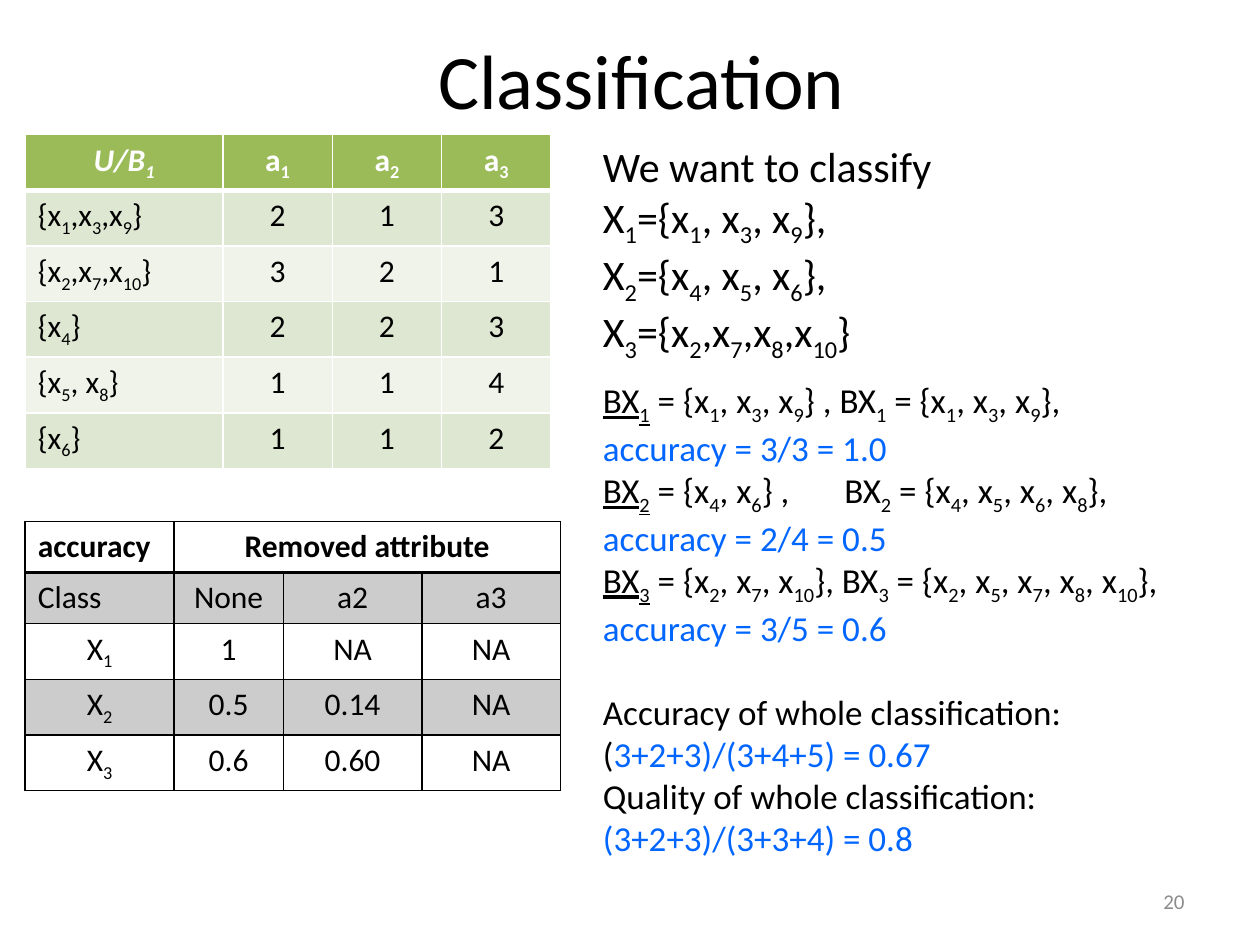
"""Build the "Classification" slide: two tables beside set approximations and their accuracy."""
from dataclasses import dataclass
from itertools import takewhile

from lxml import etree
from pptx import Presentation
from pptx.dml import color
from pptx.enum import text
from pptx.oxml import ns
from pptx.util import Pt


@dataclass(frozen=True)
class Theme:
    font: str = "Calibri"
    title: int = 44
    intro: int = 24
    body: int = 20
    table: int = 18
    number: int = 12
    black: str = "000000"
    white: str = "FFFFFF"
    blue: str = "0066FF"
    gray: str = "8C8C8C"
    green: str = "9BBB59"
    green_bands: tuple = ("DEE7D1", "EFF3EA")


THEME = Theme()
STYLES = {
    "plain": {"color": THEME.black},
    "accent": {"color": THEME.blue},
    "lower": {"color": THEME.black, "underline": True},
    "muted": {"color": THEME.gray},
    "bold": {"color": THEME.black, "bold": True},
    "header": {"color": THEME.white, "bold": True},
    "corner": {"color": THEME.white, "bold": True, "italic": True},
}

TITLE = "Classification"
SLIDE_NUMBER = "20"
INTRO = [
    [("We want to classify", "plain")],
    [("X_1={x_1, x_3, x_9}, \nX_2={x_4, x_5, x_6}, \nX_3={x_2,x_7,x_8,x_10}", "plain")],
]
APPROXIMATIONS = [
    ("BX_1", " = {x_1, x_3, x_9} , BX_1 = {x_1, x_3, x_9},", "3/3 = 1.0"),
    ("BX_2", " = {x_4, x_6} ,\tBX_2 = {x_4, x_5, x_6, x_8},", "2/4 = 0.5"),
    ("BX_3", " = {x_2, x_7, x_10}, BX_3 = {x_2, x_5, x_7, x_8, x_10},", "3/5 = 0.6"),
]
SUMMARY = [
    [("Accuracy of whole classification:", "plain")],
    [("(", "plain"), ("3+2+3)/(3+4+5) = 0.67", "accent")],
    [("Quality of whole classification:", "plain")],
    [("(3+2+3)/(3+3+4) = 0.8", "accent")],
]
CLASSES_TABLE = {
    "left": 14.4, "top": 77, "columns": [113, 62.5, 62.5, 62.5],
    "header_styles": ["corner", "header", "header", "header"],
    "left_rows": range(1, 6), "border": THEME.white, "header_line": 3,
    "header_fill": (THEME.green, None),
    "bands": [(band, None) for band in THEME.green_bands],
    "rows": [
        ["U/B_1", "a_1", "a_2", "a_3"],
        ["{x_1,x_3,x_9}", "2", "1", "3"],
        ["{x_2,x_7,x_10}", "3", "2", "1"],
        ["{x_4}", "2", "2", "3"],
        ["{x_5, x_8}", "1", "1", "4"],
        ["{x_6}", "1", "1", "2"],
    ],
}
ACCURACY_TABLE = {
    "left": 14.4, "top": 298, "columns": [85, 62.5, 79.2, 79.2],
    "header_styles": ["bold"] * 4,
    "left_rows": range(2), "border": THEME.black, "header_line": 2,
    "header_fill": None,
    "bands": [(THEME.black, 20), None],
    "header_span": (1, 3),
    "rows": [
        ["accuracy", "Removed attribute", "", ""],
        ["Class", "None", "a2", "a3"],
        ["X_1", "1", "NA", "NA"],
        ["X_2", "0.5", "0.14", "NA"],
        ["X_3", "0.6", "0.60", "NA"],
    ],
}
ROW_HEIGHT = 29.2
TAB_STOP = 138
SECTION_GAP = 24


def split_subscripts(line):
    first, *others = line.split("_")
    yield first, False
    for part in others:
        digits = "".join(takewhile(str.isdigit, part))
        yield digits, True
        yield part[len(digits):], False


def add_runs(paragraph, markup, style, size):
    look = STYLES[style]
    for index, line in enumerate(markup.split("\n")):
        if index:
            paragraph.add_line_break()
        for content, is_subscript in split_subscripts(line):
            if not content:
                continue
            run = paragraph.add_run()
            run.text = content
            font = run.font
            font.name, font.size = THEME.font, Pt(size)
            font.color.rgb = color.RGBColor.from_string(look["color"])
            font.bold = look.get("bold", False)
            font.italic = look.get("italic", False)
            font.underline = look.get("underline", False)
            if is_subscript:
                run._r.get_or_add_rPr().set("baseline", "-25000")


def add_tab_stop(paragraph):
    tabs = etree.SubElement(paragraph._p.get_or_add_pPr(), ns.qn("a:tabLst"))
    etree.SubElement(tabs, ns.qn("a:tab"), pos=str(Pt(TAB_STOP)), algn="l")


def add_text(slide, box, paragraphs, size):
    frame = slide.shapes.add_textbox(*map(Pt, box)).text_frame
    frame.word_wrap = True
    for index, spans in enumerate(paragraphs):
        paragraph = frame.add_paragraph() if index else frame.paragraphs[0]
        if any("\t" in markup for markup, _ in spans):
            add_tab_stop(paragraph)
        for markup, style in spans:
            add_runs(paragraph, markup, style, size)
    return frame


def set_borders(cell, line_color, widths):
    properties = cell._tc.get_or_add_tcPr()
    for side, width in widths.items():
        line = etree.SubElement(properties, ns.qn(f"a:ln{side}"), w=str(Pt(width)))
        fill = etree.SubElement(line, ns.qn("a:solidFill"))
        etree.SubElement(fill, ns.qn("a:srgbClr"), val=line_color)


def set_fill(cell, fill):
    if fill is None:
        cell.fill.background()
        return
    rgb, opacity = fill
    cell.fill.solid()
    cell.fill.fore_color.rgb = color.RGBColor.from_string(rgb)
    if opacity:
        solid = cell._tc.tcPr.find(ns.qn("a:solidFill"))
        etree.SubElement(solid[0], ns.qn("a:alpha"), val=str(opacity * 1000))


def add_grid(slide, grid):
    rows, columns = grid["rows"], grid["columns"]
    box = grid["left"], grid["top"], sum(columns), ROW_HEIGHT * len(rows)
    table = slide.shapes.add_table(len(rows), len(columns), *map(Pt, box)).table
    table.horz_banding = False
    for column, width in zip(table.columns, columns):
        column.width = Pt(width)
    if "header_span" in grid:
        first, last = grid["header_span"]
        table.cell(0, first).merge(table.cell(0, last))
    for r, row in enumerate(rows):
        fill = grid["bands"][(r - 1) % 2] if r else grid["header_fill"]
        widths = {"L": 1, "R": 1, "T": grid["header_line"] if r == 1 else 1,
                  "B": 1 if r else grid["header_line"]}
        for c, markup in enumerate(row):
            cell = table.cell(r, c)
            set_borders(cell, grid["border"], widths)
            set_fill(cell, fill)
            paragraph = cell.text_frame.paragraphs[0]
            is_left = c == 0 and r in grid["left_rows"]
            paragraph.alignment = text.PP_ALIGN.LEFT if is_left else text.PP_ALIGN.CENTER
            add_runs(paragraph, markup, "plain" if r else grid["header_styles"][c], THEME.table)


def main():
    presentation = Presentation()
    presentation.slide_width, presentation.slide_height = Pt(720), Pt(540)
    slide = presentation.slides.add_slide(presentation.slide_layouts[5])
    title = slide.shapes.title
    title.left, title.top, title.width, title.height = map(Pt, (42.5, 0, 648, 90))
    title.text_frame.vertical_anchor = text.MSO_ANCHOR.MIDDLE
    heading = title.text_frame.paragraphs[0]
    heading.alignment = text.PP_ALIGN.CENTER
    add_runs(heading, TITLE, "plain", THEME.title)

    intro = add_text(slide, (337.5, 77, 340, 124), INTRO, THEME.intro)
    add_grid(slide, CLASSES_TABLE)
    results = []
    for lower, sets, accuracy in APPROXIMATIONS:
        results += [[(lower, "lower"), (sets, "plain")], [(f"accuracy = {accuracy}", "accent")]]
    body = add_text(slide, (337.5, 213, 346, 298), results + SUMMARY, THEME.body)
    body.paragraphs[len(results)].space_before = Pt(SECTION_GAP)
    for frame in (intro, body):
        frame.auto_size = text.MSO_AUTO_SIZE.SHAPE_TO_FIT_TEXT
    add_grid(slide, ACCURACY_TABLE)

    number = add_text(slide, (516, 500.5, 168, 28.75), [[(SLIDE_NUMBER, "muted")]], THEME.number)
    number.vertical_anchor = text.MSO_ANCHOR.MIDDLE
    number.paragraphs[0].alignment = text.PP_ALIGN.RIGHT
    presentation.save("out.pptx")


if __name__ == "__main__":
    main()
